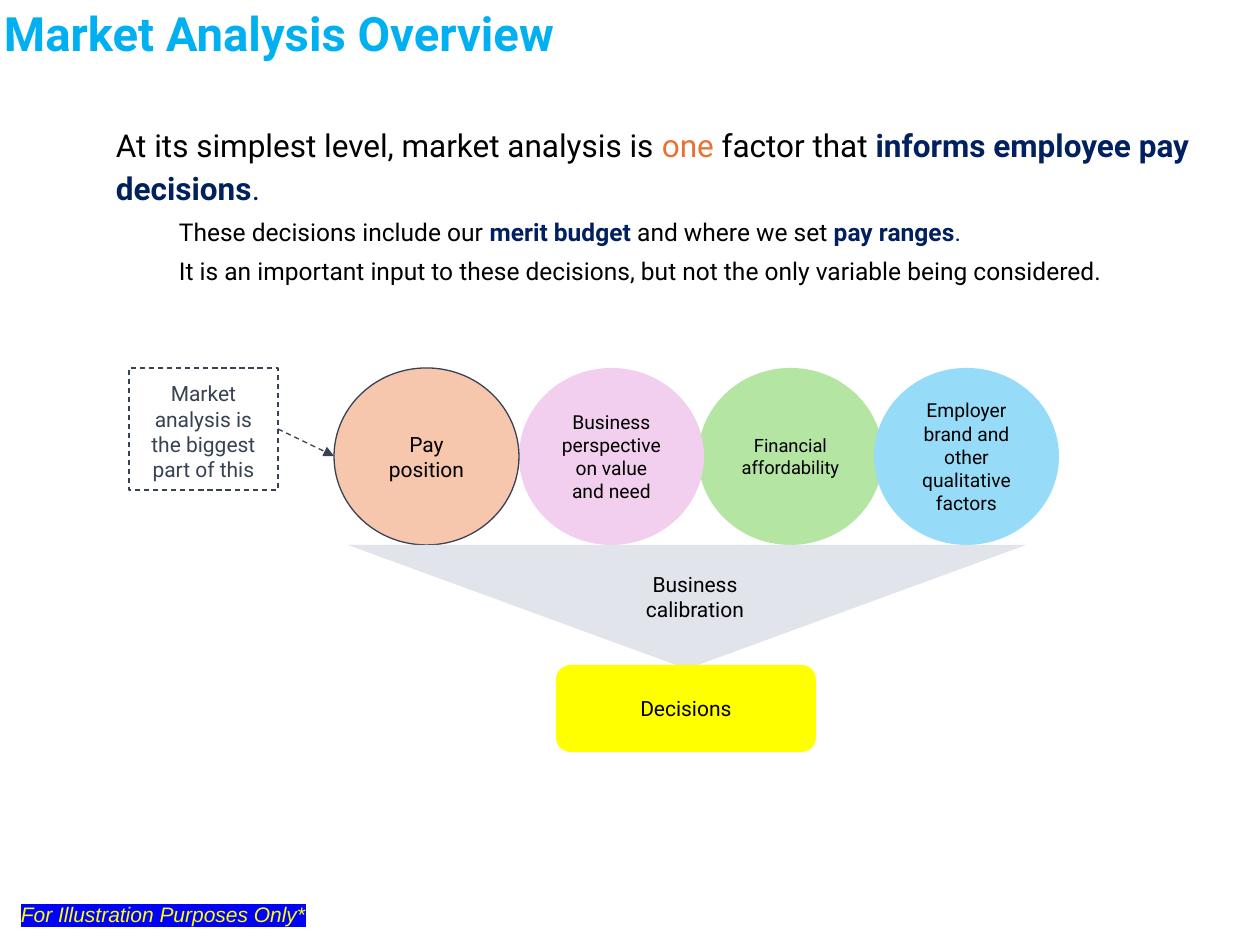
from dataclasses import dataclass

from lxml import etree
from pptx import Presentation, util as u
from pptx.dml.color import RGBColor
from pptx.enum import dml, shapes, text
from pptx.oxml import ns

SCALE = u.Inches(1) / 126
INK, NAVY, BLACK = "374254", "002060", "000000"
KIND = shapes.MSO_SHAPE


@dataclass
class Run:
    words: str
    size: float = 12
    color: str = BLACK
    bold: bool = False
    italic: bool = False
    font: str = "Roboto"
    mark: str = ""


@dataclass
class Para:
    runs: list[Run]
    indent: int = 0
    before: int = 0
    after: int = 0
    lines: float = 1.0


@dataclass
class Circle:
    left: int
    fill: str
    words: str
    size: float
    line: str = ""


CIRCLES = [
    Circle(698, "B4E5A2", "Financial affordability", 10.5),
    Circle(874, "96DCF8", "Employer brand and other qualitative factors", 11),
    Circle(519, "F2CFEE", "Business perspective on value and need", 11),
    Circle(334, "F6C6AD", "Pay position", 12, INK),
]

BODY = [
    Para([
        Run("At its simplest level, market analysis is ", 18),
        Run("one", 18, "E97132"),
        Run(" factor that ", 18),
        Run("informs employee pay decisions", 18, NAVY, True),
        Run(".", 18, NAVY),
    ], lines=1.15),
    Para([
        Run("These decisions include our ", 14),
        Run("merit budget ", 14, NAVY, True),
        Run("and where we set ", 14),
        Run("pay ranges", 14, NAVY, True),
        Run(".", 14, NAVY),
    ], indent=63, before=3, lines=1.15),
    Para([Run("It is an important input to these decisions, but not the only "
              "variable being considered.", 14)],
         indent=63, before=3, after=3, lines=1.15),
]


def px(num: int) -> int:
    return round(num * SCALE)


def paint(form, color: str) -> None:
    form.solid()
    form.fore_color.rgb = RGBColor.from_string(color)


def stroke(line, color: str, dash: bool = False) -> None:
    paint(line.fill, color)
    line.width = u.Pt(0.75)
    if dash:
        line.dash_style = dml.MSO_LINE.DASH


def style(run, data: Run) -> None:
    run.text = data.words
    font = run.font
    font.size, font.bold, font.italic = u.Pt(data.size), data.bold, data.italic
    paint(font.fill, data.color)
    font.name = data.font
    if data.mark:
        mark = etree.Element(ns.qn("a:highlight"))
        etree.SubElement(mark, ns.qn("a:srgbClr"), val=data.mark)
        run._r.rPr.find(ns.qn("a:latin")).addprevious(mark)


def write(shape, paras: list[Para], pad: tuple[int, int] = (0, 0),
          align=text.PP_ALIGN.LEFT, anchor=text.MSO_ANCHOR.TOP) -> None:
    frame = shape.text_frame
    frame.word_wrap = True
    frame.vertical_anchor = anchor
    frame.margin_left = frame.margin_right = px(pad[0])
    frame.margin_top = frame.margin_bottom = px(pad[1])
    for num, data in enumerate(paras):
        para = frame.add_paragraph() if num else frame.paragraphs[0]
        para.alignment, para.line_spacing = align, data.lines
        para.space_before, para.space_after = u.Pt(data.before), u.Pt(data.after)
        if data.indent:
            para.level = 1
            para._p.get_or_add_pPr().set("marL", str(px(data.indent)))
        for item in data.runs:
            style(para.add_run(), item)


def label(shape, run: Run, anchor=text.MSO_ANCHOR.MIDDLE) -> None:
    write(shape, [Para([run])], (13, 13), text.PP_ALIGN.CENTER, anchor)


def block(slide, kind, box: tuple[int, int, int, int], fill: str = "",
          line: str = "", dash: bool = False):
    shape = slide.shapes.add_shape(kind, *map(px, box))
    shape.shadow.inherit = False
    if fill:
        paint(shape.fill, fill)
    else:
        shape.fill.background()
    if line:
        stroke(shape.line, line, dash)
    else:
        shape.line.fill.background()
    return shape


def field(slide, box: tuple[int, int, int, int]):
    return slide.shapes.add_textbox(*map(px, box))


def arrow(slide, ends: tuple[int, int, int, int]) -> None:
    line = slide.shapes.add_connector(shapes.MSO_CONNECTOR.STRAIGHT,
                                      *map(px, ends))
    stroke(line.line, INK, True)
    etree.SubElement(line.line._get_or_add_ln(), ns.qn("a:tailEnd"),
                     type="triangle")
    etree.SubElement(line._element.spPr, ns.qn("a:effectLst"))


def main() -> None:
    """Build the market analysis slide."""
    deck = Presentation()
    deck.slide_width, deck.slide_height = px(1260), px(945)
    slide = deck.slides.add_slide(deck.slide_layouts[6])

    write(field(slide, (116, 120, 1074, 195)), BODY)
    for item in CIRCLES:
        disc = block(slide, KIND.OVAL, (item.left, 368, 185, 177),
                     item.fill, item.line)
        label(disc, Run(item.words, item.size))

    funnel = block(slide, KIND.ISOSCELES_TRIANGLE, (348, 545, 678, 124), "E2E4EC")
    funnel.rotation = 180
    goal = block(slide, KIND.ROUNDED_RECTANGLE, (556, 665, 260, 87), "FFFF00")
    label(goal, Run("Decisions"))
    label(field(slide, (596, 558, 198, 42)), Run("Business calibration"),
          text.MSO_ANCHOR.TOP)

    hint = block(slide, KIND.RECTANGLE, (129, 368, 149, 122), line=INK, dash=True)
    label(hint, Run("Market analysis is the biggest part of this", color=INK),
          text.MSO_ANCHOR.TOP)
    arrow(slide, (278, 429, 334, 456))

    write(field(slide, (4, 4, 1136, 57)),
          [Para([Run("Market Analysis Overview", 27, "00B0F0", True)])])
    note = block(slide, KIND.RECTANGLE, (8, 896, 316, 38), "FFFFFF")
    write(note, [Para([Run("For Illustration Purposes Only*", color="FFFF00",
                           italic=True, font="Arial", mark="0000FF")])], (13, 6))
    deck.save("out.pptx")


if __name__ == "__main__":
    main()
